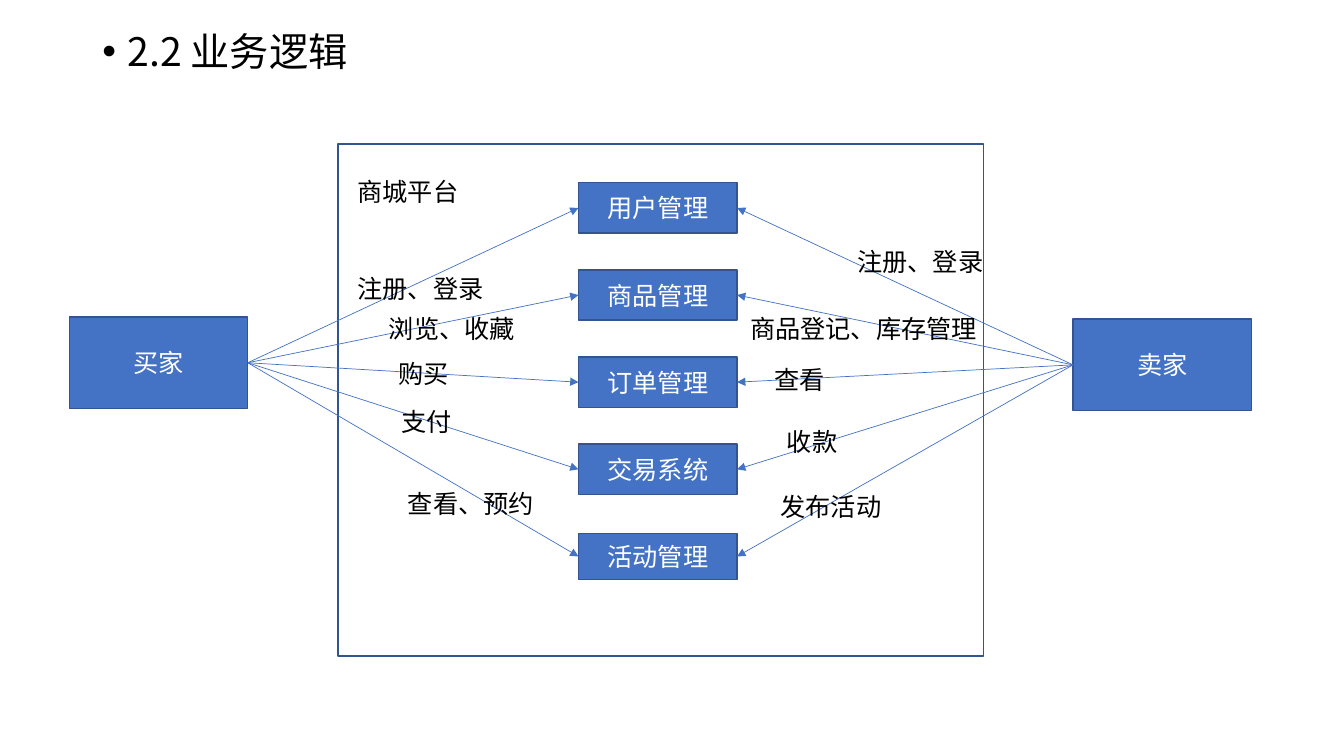
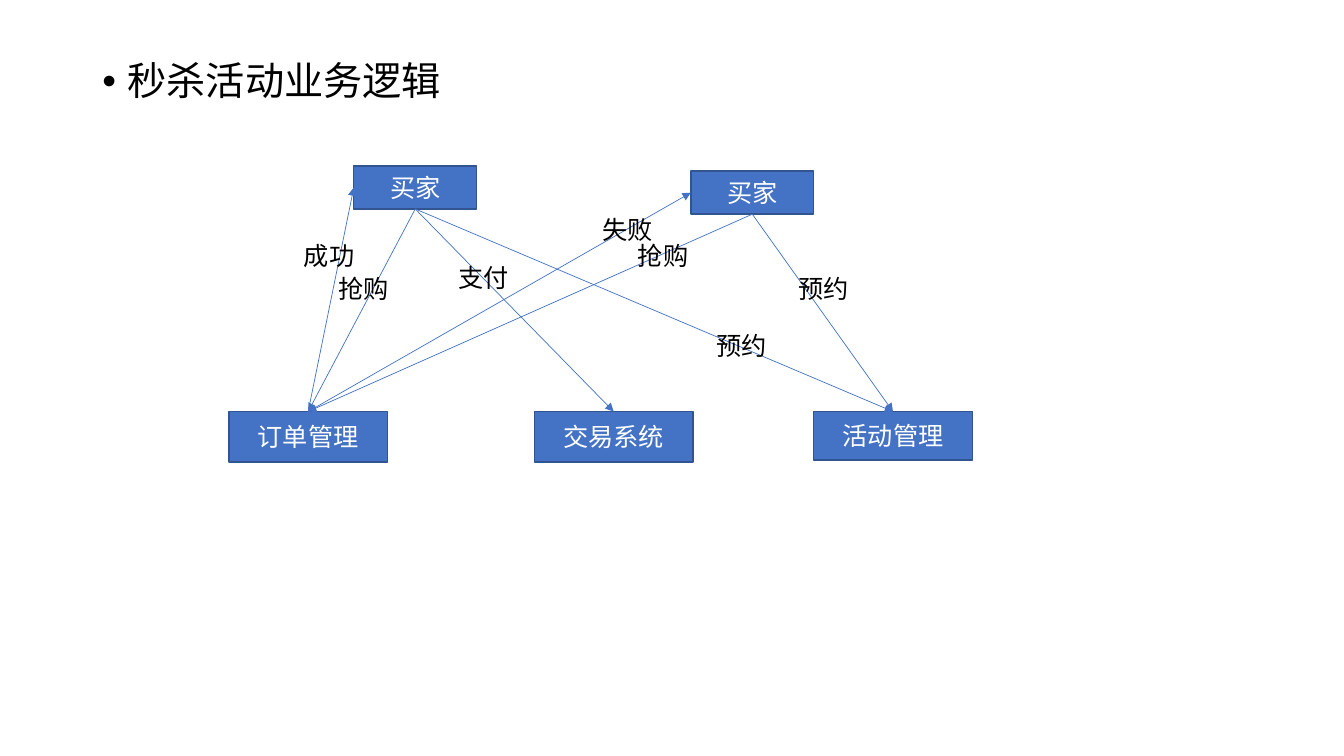
from typing import NamedTuple

from lxml import etree
from pptx import Presentation
from pptx.dml.color import RGBColor
from pptx.enum.shapes import MSO_CONNECTOR, MSO_SHAPE
from pptx.enum.text import MSO_ANCHOR, MSO_AUTO_SIZE, PP_ALIGN
from pptx.oxml.ns import qn
from pptx.util import Pt

PX = 9525  # EMU per px, 96 px to the inch
SLIDE_W, SLIDE_H = 1280, 720
TITLE_ONLY = 5
FONT = "Noto Sans CJK SC"
COLORS = {"box": "4472C4", "outline": "325491", "text": "000000", "paper": "FFFFFF"}
RECT = MSO_SHAPE.RECTANGLE
STRAIGHT = MSO_CONNECTOR.STRAIGHT
LEFT, CENTER = PP_ALIGN.LEFT, PP_ALIGN.CENTER
TOP, MIDDLE = MSO_ANCHOR.TOP, MSO_ANCHOR.MIDDLE
NO_AUTOFIT = MSO_AUTO_SIZE.NONE
# Connection sites of a rectangle
SITE_TOP, SITE_LEFT, SITE_BOTTOM, SITE_RIGHT = range(4)

MODULE_W, MODULE_H, LAST_MODULE_H = 151, 48, 44
MODULE_LEFT, FIRST_MODULE_CENTER, MODULE_PITCH = 551, 198, 83
MODULES = ["用户管理", "商品管理", "订单管理", "交易系统", "活动管理"]
PARTY_W, PARTY_H = 170, 87
BUYER_W, BUYER_H = 117, 41
LABEL_H = 38


class Box(NamedTuple):
    text: str
    left: int
    top: int
    width: int
    height: int
    fill: str = "box"


class Label(NamedTuple):
    text: str
    left: int
    top: int
    width: int


class Arrow(NamedTuple):
    start: str
    start_site: int
    end: str
    end_site: int


def rgb(name: str) -> RGBColor:
    return RGBColor.from_string(COLORS[name])


def style_paragraph(paragraph, size: int, color: str, align=LEFT) -> None:
    """Set alignment and font, the East Asian typeface included."""
    paragraph.alignment = align
    paragraph.font.size = Pt(size)
    paragraph.font.name = FONT
    paragraph.font.color.rgb = rgb(color)
    defaults = paragraph._p.pPr.find(qn("a:defRPr"))
    etree.SubElement(defaults, qn("a:ea"), typeface=FONT)


def add_bullet(paragraph, indent: int) -> None:
    """Give an already styled paragraph a hanging round bullet."""
    properties = paragraph._p.pPr
    properties.set("marL", str(indent * PX))
    properties.set("indent", str(-indent * PX))
    defaults = properties.find(qn("a:defRPr"))
    for tag, attribute, value in (("a:buFont", "typeface", "Arial"), ("a:buChar", "char", "•")):
        bullet_part = etree.Element(qn(tag))
        bullet_part.set(attribute, value)
        defaults.addprevious(bullet_part)


def add_titled_slide(presentation, heading: str, top: int):
    slide = presentation.slides.add_slide(presentation.slide_layouts[TITLE_ONLY])
    title = slide.shapes.title
    title.left, title.top, title.width, title.height = (v * PX for v in (88, top, 1104, 56))
    frame = title.text_frame
    frame.text = heading
    frame.auto_size = NO_AUTOFIT
    frame.vertical_anchor = TOP
    paragraph = frame.paragraphs[0]
    paragraph.line_spacing = 0.9
    paragraph.space_before = Pt(10)
    style_paragraph(paragraph, 28, "text")
    add_bullet(paragraph, 24)
    return slide


def draw_box(slide, box: Box):
    shape = slide.shapes.add_shape(
        RECT, box.left * PX, box.top * PX, box.width * PX, box.height * PX
    )
    shape.shadow.inherit = False
    shape.fill.solid()
    shape.fill.fore_color.rgb = rgb(box.fill)
    shape.line.color.rgb = rgb("outline")
    shape.line.width = Pt(1)
    if box.text:
        frame = shape.text_frame
        frame.text = box.text
        frame.vertical_anchor = MIDDLE
        style_paragraph(frame.paragraphs[0], 18, "paper", CENTER)
    return shape


def draw_arrow(slide, arrow: Arrow, shapes: dict) -> None:
    connector = slide.shapes.add_connector(STRAIGHT, 0, 0, 0, 0)
    connector.begin_connect(shapes[arrow.start], arrow.start_site)
    connector.end_connect(shapes[arrow.end], arrow.end_site)
    connector.line.color.rgb = rgb("box")
    connector.line.width = Pt(0.5)
    etree.SubElement(connector.line._get_or_add_ln(), qn("a:tailEnd"), type="triangle")
    etree.SubElement(connector._element.spPr, qn("a:effectLst"))


def draw_label(slide, label: Label) -> None:
    text_box = slide.shapes.add_textbox(
        label.left * PX, label.top * PX, label.width * PX, LABEL_H * PX
    )
    frame = text_box.text_frame
    frame.word_wrap = True
    frame.text = label.text
    style_paragraph(frame.paragraphs[0], 18, "text")


def draw_diagram(
    slide, boxes: dict[str, Box], arrows: list[Arrow], labels: list[Label]
) -> None:
    shapes = {key: draw_box(slide, box) for key, box in boxes.items()}
    for arrow in arrows:
        draw_arrow(slide, arrow, shapes)
    for label in labels:
        draw_label(slide, label)


def build_platform_slide(presentation) -> None:
    slide = add_titled_slide(presentation, "2.2 业务逻辑", 26)
    boxes = {
        "platform": Box("", 322, 137, 615, 488, "paper"),
        "buyer": Box("买家", 66, 302, PARTY_W, PARTY_H),
        "seller": Box("卖家", 1022, 304, PARTY_W, PARTY_H),
    }
    for row, module in enumerate(MODULES):
        height = LAST_MODULE_H if module == MODULES[-1] else MODULE_H
        top = FIRST_MODULE_CENTER + row * MODULE_PITCH - height // 2
        boxes[module] = Box(module, MODULE_LEFT, top, MODULE_W, height)
    arrows = [
        Arrow(party, party_site, module, module_site)
        for party, party_site, module_site in (
            ("buyer", SITE_RIGHT, SITE_LEFT),
            ("seller", SITE_LEFT, SITE_RIGHT),
        )
        for module in MODULES
    ]
    labels = [
        Label("商城平台", 331, 163, 136),
        Label("注册、登录", 331, 256, 144),
        Label("浏览、收藏", 361, 294, 144),
        Label("购买", 370, 337, 119),
        Label("支付", 373, 382, 89),
        Label("查看、预约", 379, 460, 144),
        Label("注册、登录", 807, 230, 151),
        Label("商品登记、库存管理", 705, 294, 241),
        Label("查看", 728, 342, 182),
        Label("收款", 740, 401, 117),
        Label("发布活动", 734, 463, 130),
    ]
    draw_diagram(slide, boxes, arrows, labels)


def build_flash_sale_slide(presentation) -> None:
    slide = add_titled_slide(presentation, "秒杀活动业务逻辑", 54)
    boxes = {
        "winner": Box("买家", 337, 158, BUYER_W, BUYER_H),
        "loser": Box("买家", 658, 163, BUYER_W, BUYER_H),
        "orders": Box("订单管理", 218, 392, MODULE_W, MODULE_H),
        "trading": Box("交易系统", 509, 392, MODULE_W, MODULE_H),
        "activity": Box("活动管理", 775, 392, MODULE_W, 46),
    }
    requests = [
        ("winner", "orders"),
        ("winner", "trading"),
        ("winner", "activity"),
        ("loser", "orders"),
        ("loser", "activity"),
    ]
    arrows = [Arrow(buyer, SITE_BOTTOM, module, SITE_TOP) for buyer, module in requests]
    arrows += [Arrow("orders", SITE_TOP, buyer, SITE_LEFT) for buyer in ("winner", "loser")]
    labels = [
        Label("预约", 673, 310, 101),
        Label("支付", 427, 245, 71),
        Label("抢购", 313, 256, 87),
        Label("抢购", 598, 224, 84),
        Label("成功", 280, 224, 84),
        Label("失败", 564, 199, 74),
        Label("预约", 751, 256, 88),
    ]
    draw_diagram(slide, boxes, arrows, labels)


def main() -> None:
    presentation = Presentation()
    presentation.slide_width = SLIDE_W * PX
    presentation.slide_height = SLIDE_H * PX
    build_platform_slide(presentation)
    build_flash_sale_slide(presentation)
    presentation.save("out.pptx")


if __name__ == "__main__":
    main()
